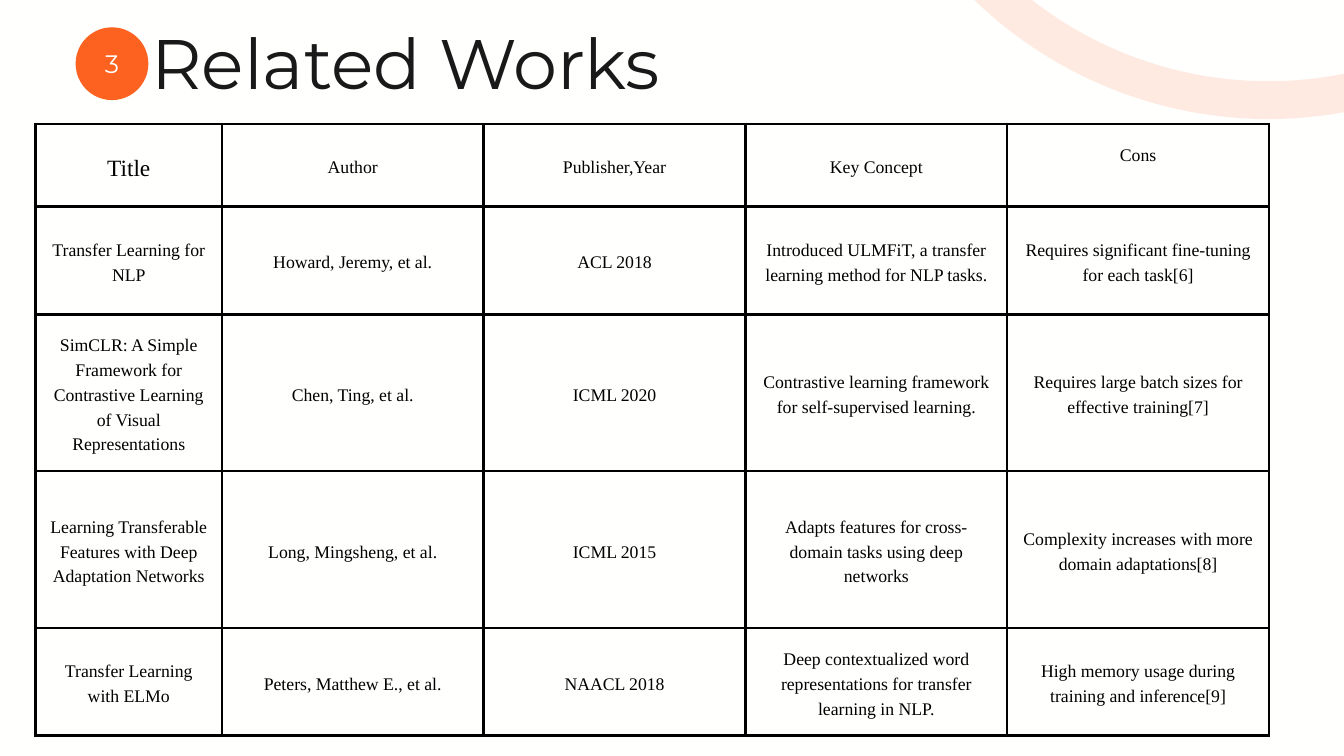
import lxml.etree
import pptx
import pptx.dml.color
import pptx.enum.shapes
import pptx.enum.text
import pptx.oxml.ns
import pptx.util

PX = 9525  # EMU in one px, 96 px to the inch
RGB = pptx.dml.color.RGBColor
ORANGE = RGB(0xFD, 0x62, 0x20)
PAPER = RGB(0xFF, 0xFF, 0xFE)
INK = RGB(0x19, 0x19, 0x19)
BLACK = RGB(0, 0, 0)
HEAD_FONT = "Montserrat"
BODY_FONT = "Times New Roman"
ALIGN = pptx.enum.text.PP_ALIGN
MIDDLE = pptx.enum.text.MSO_ANCHOR.MIDDLE
Pt = pptx.util.Pt
qn = pptx.oxml.ns.qn

COLS = [266] + [374] * 4
ROWS = [118, 154, 224, 224, 154]
PAD = 20
LIFT = 35  # extra bottom margin that raises the last heading
WORKS = [
    ["Title", "Author", "Publisher,Year", "Key Concept", "Cons"],
    ["Transfer Learning for NLP", "Howard, Jeremy, et al.", "ACL 2018",
     "Introduced ULMFiT, a transfer learning method for NLP tasks.",
     "Requires significant fine-tuning for each task[6]"],
    ["SimCLR: A Simple Framework for Contrastive Learning of Visual Representations",
     "Chen, Ting, et al.", "ICML 2020",
     "Contrastive learning framework for self-supervised learning.",
     "Requires large batch sizes for effective training[7]"],
    ["Learning Transferable Features with Deep Adaptation Networks",
     "Long, Mingsheng, et al.", "ICML 2015",
     "Adapts features for cross-domain tasks using deep networks",
     "Complexity increases with more domain adaptations[8]"],
    ["Transfer Learning with ELMo", "Peters, Matthew E., et al.", "NAACL 2018",
     "Deep contextualized word representations for transfer learning in NLP.",
     "High memory usage during training and inference[9]"],
]


def scale(*sizes):
    return [size * PX for size in sizes]


def write(frame, text, font, size, color, align=ALIGN.CENTER):
    """Set one paragraph with line spacing of 1.4 times its size."""
    frame.word_wrap = True
    frame.text = text
    para = frame.paragraphs[0]
    para.alignment = align
    para.line_spacing = Pt(size * 1.4)
    style = para.runs[0].font
    style.name, style.size = font, Pt(size)
    style.color.rgb = color


def add_text(slide, box, pad, *style):
    frame = slide.shapes.add_textbox(*scale(*box)).text_frame
    frame.margin_left = frame.margin_right = pad * PX
    frame.margin_top = frame.margin_bottom = pad * PX
    write(frame, *style)
    return frame


def add_oval(slide, x, y, side):
    oval = slide.shapes.add_shape(
        pptx.enum.shapes.MSO_SHAPE.OVAL, *scale(x, y, side, side))
    oval.shadow.inherit = False
    return oval


def add_title(slide, x, y, w, h):
    frame = add_text(slide, (x, y, w, h), 0,
                     "Related Works", HEAD_FONT, 75, INK, ALIGN.JUSTIFY)
    frame.auto_size = pptx.enum.text.MSO_AUTO_SIZE.SHAPE_TO_FIT_TEXT


def add_badge(slide, x, y, side):
    disc = add_oval(slide, x, y, side)
    disc.fill.solid()
    disc.fill.fore_color.rgb = ORANGE
    disc.line.fill.background()
    frame = add_text(slide, (x + 10, y + 2, side - 20, side - 12), 6,
                     "3", HEAD_FONT, 27, PAPER)
    frame.vertical_anchor = MIDDLE


def add_ring(slide, x, y, side):
    ring = add_oval(slide, x, y, side)
    ring.fill.background()
    ring.line.color.rgb = ORANGE
    ring.line.width = Pt(40.5)
    color = ring.line._get_or_add_ln().find(".//" + qn("a:srgbClr"))
    lxml.etree.SubElement(color, qn("a:alpha"), val="12000")


def add_border(cell):
    props = cell._tc.get_or_add_tcPr()
    for side in ("lnL", "lnR", "lnT", "lnB"):
        line = lxml.etree.SubElement(props, qn("a:" + side), w=str(Pt(3)))
        fill = lxml.etree.SubElement(line, qn("a:solidFill"))
        lxml.etree.SubElement(fill, qn("a:srgbClr"), val=str(BLACK))


def add_works(slide, x, y):
    table = slide.shapes.add_table(
        len(ROWS), len(COLS), *scale(x, y, sum(COLS), sum(ROWS))).table
    table.first_row = table.horz_banding = False
    for col, width in zip(table.columns, COLS):
        col.width = width * PX
    for row, height, texts in zip(table.rows, ROWS, WORKS):
        row.height = height * PX
        for cell, text in zip(row.cells, texts):
            add_border(cell)
            cell.fill.background()
            cell.vertical_anchor = MIDDLE
            cell.margin_left = cell.margin_right = PAD * PX
            cell.margin_top = cell.margin_bottom = PAD * PX
            size = 25 if text == "Title" else 19
            write(cell.text_frame, text, BODY_FONT, size, BLACK)
    table.cell(0, len(COLS) - 1).margin_bottom = (PAD + LIFT) * PX


def main():
    deck = pptx.Presentation()
    deck.slide_width, deck.slide_height = scale(1920, 1080)
    slide = deck.slides.add_slide(deck.slide_layouts[6])
    slide.background.fill.solid()
    slide.background.fill.fore_color.rgb = PAPER
    add_title(slide, 216, 8, 1019, 135)
    add_badge(slide, 108, 39, 104)
    add_ring(slide, 1235, -1011, 1154)
    add_works(slide, 51, 177)
    deck.save("out.pptx")


if __name__ == "__main__":
    main()
